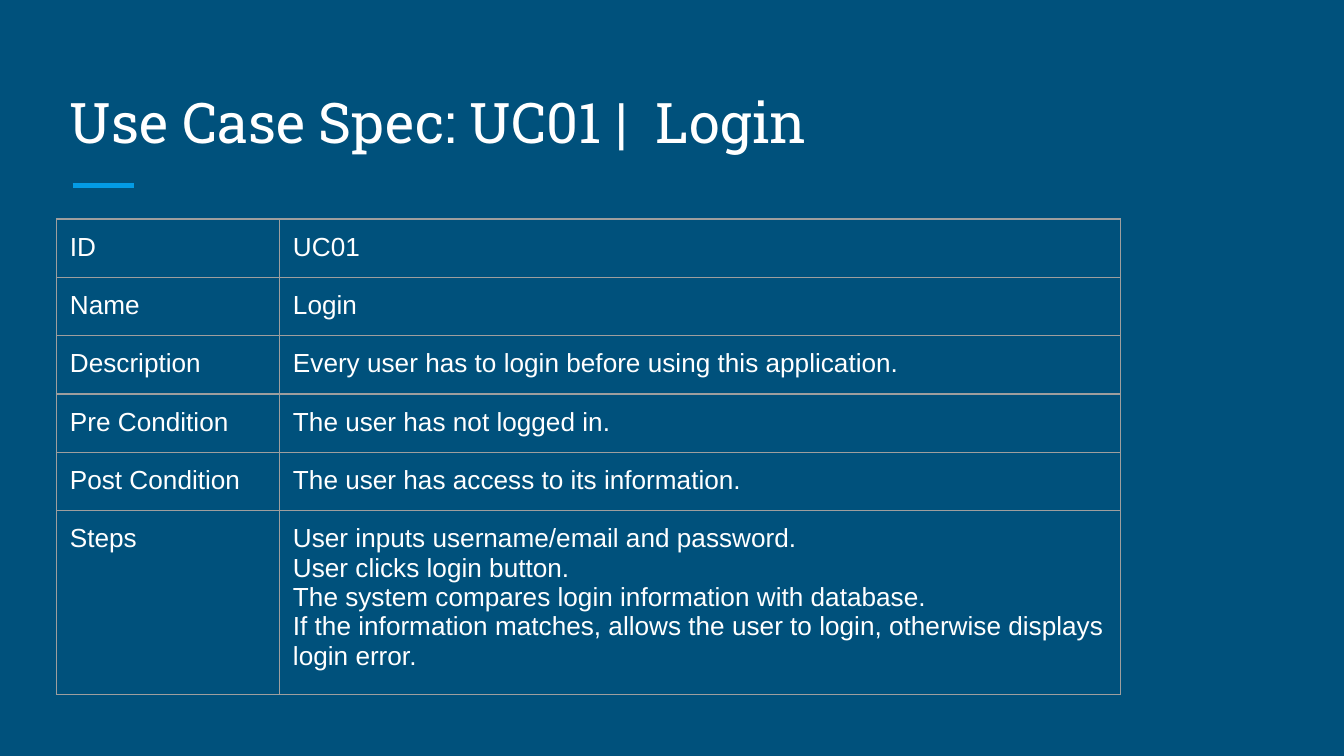
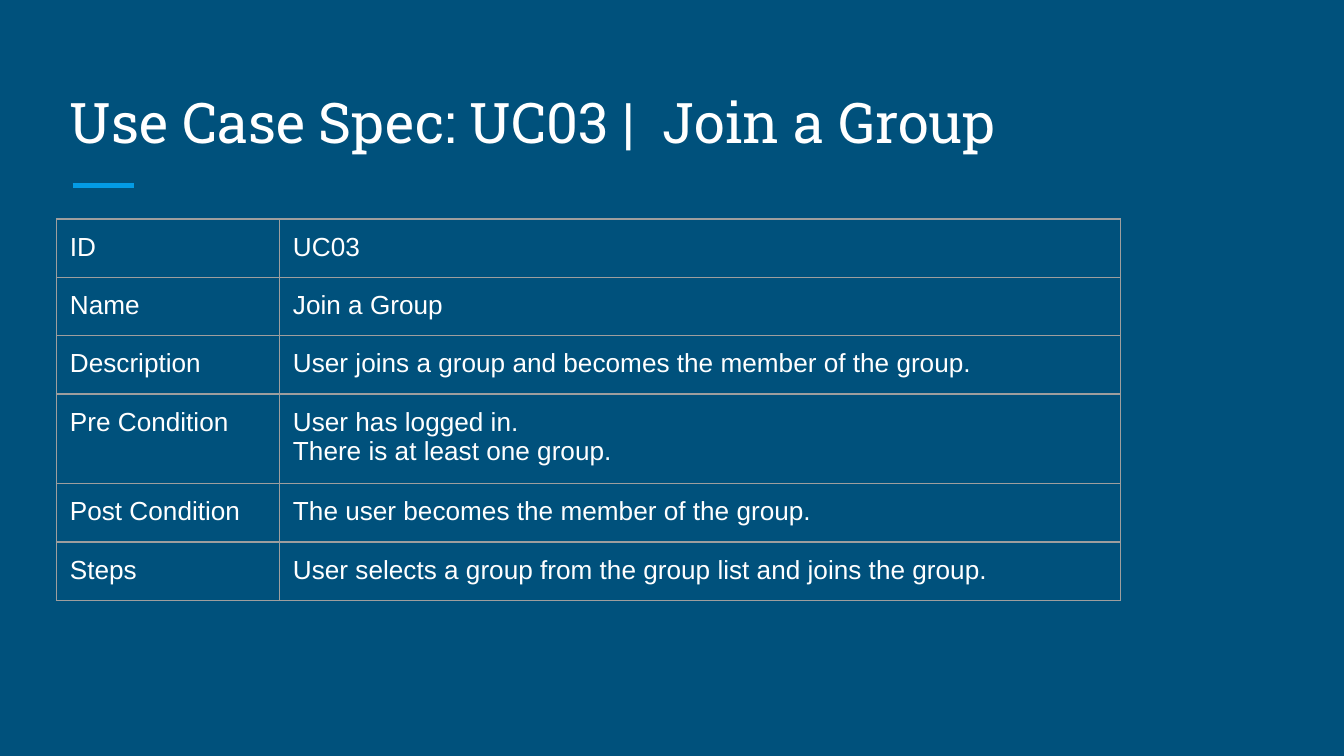
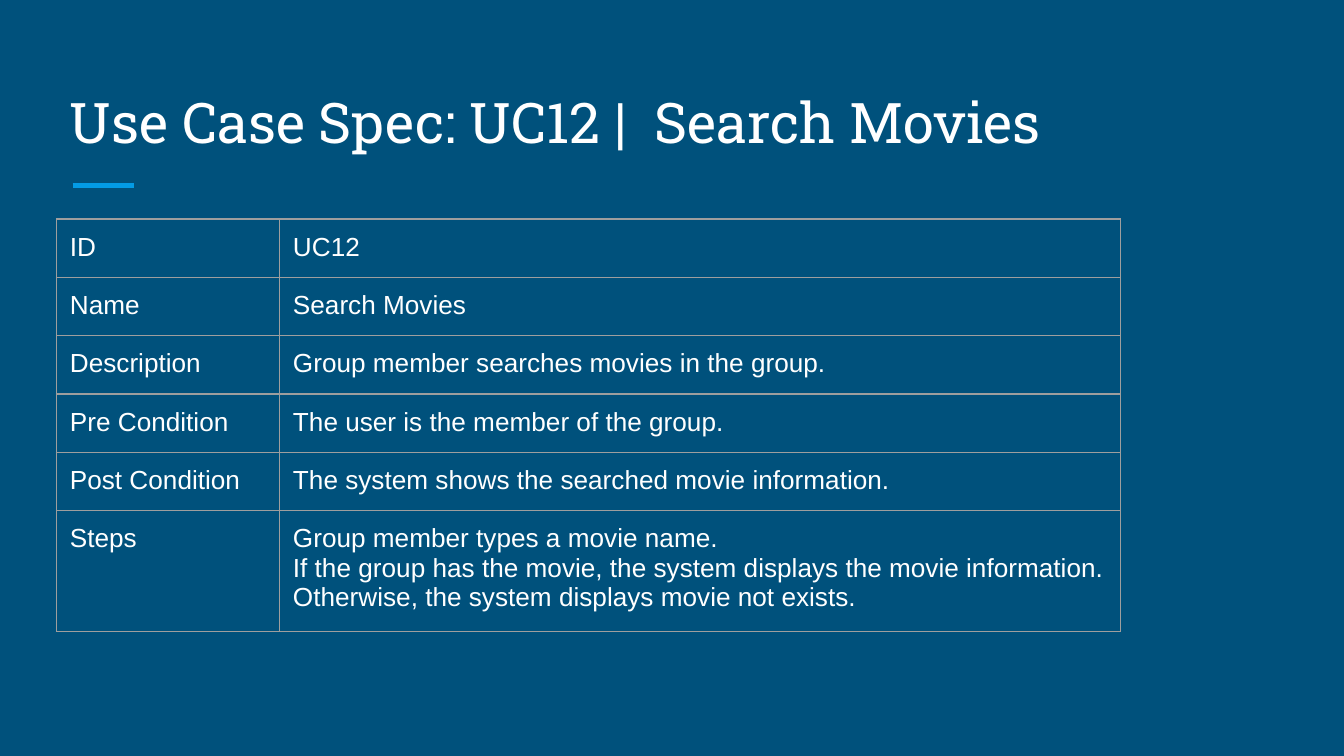
from dataclasses import dataclass

from lxml import etree
from pptx import Presentation
from pptx import util as u
from pptx.dml.color import RGBColor
from pptx.enum import shapes, text
from pptx.oxml.ns import qn


@dataclass(frozen=True)
class Theme:
    background: str = "00517C"
    ink: str = "FFFFFF"
    accent: str = "039BE5"
    border: str = "9E9E9E"
    title_font: str = "Roboto Slab"
    body_font: str = "Arial"
    title_size: float = 30
    body_size: float = 14
    accent_width: float = 3
    border_width: float = 0.75


THEME = Theme()
WIDTH = u.Inches(10)
HEIGHT = WIDTH * 9 // 16
INSET = u.Inches(0.1)
LEFT = u.Inches(0.42)
ROW = u.Inches(0.42)
COLUMNS = (u.Inches(1.66), u.Inches(6.26))

FIELDS = ("ID", "Name", "Description", "Pre Condition", "Post Condition", "Steps")
USE_CASES = (
    (
        "UC01",
        "Login",
        "Every user has to login before using this application.",
        "The user has not logged in.",
        "The user has access to its information.",
        "User inputs username/email and password.\n"
        "User clicks login button.\n"
        "The system compares login information with database.\n"
        "If the information matches, allows the user to login, "
        "otherwise displays login error.",
    ),
    (
        "UC03",
        "Join a Group",
        "User joins a group and becomes the member of the group.",
        "User has logged in.\nThere is at least one group.",
        "The user becomes the member of the group.",
        "User selects a group from the group list and joins the group.",
    ),
    (
        "UC12",
        "Search Movies",
        "Group member searches movies in the group.",
        "The user is the member of the group.",
        "The system shows the searched movie information.",
        "Group member types a movie name.\n"
        "If the group has the movie, the system displays the movie information.\n"
        "Otherwise, the system displays movie not exists.",
    ),
)


def write(tf, content, font, size):
    tf.text = content
    for p in tf.paragraphs:
        for r in p.runs:
            r.font.name = font
            r.font.size = u.Pt(size)
            r.font.color.rgb = RGBColor.from_string(THEME.ink)


def set_insets(holder):
    holder.margin_left = holder.margin_right = INSET
    holder.margin_top = holder.margin_bottom = INSET


def add_title(s, title):
    sp = s.shapes.add_textbox(LEFT, u.Inches(0.5), u.Inches(9.15), u.Inches(0.75))
    tf = sp.text_frame
    tf.word_wrap = True
    tf.vertical_anchor = text.MSO_ANCHOR.BOTTOM
    set_insets(tf)
    write(tf, title, THEME.title_font, THEME.title_size)


def add_accent(s):
    y = u.Inches(1.38)
    line = s.shapes.add_connector(
        shapes.MSO_CONNECTOR.STRAIGHT, u.Inches(0.54), y, u.Inches(1), y
    )
    line.line.color.rgb = RGBColor.from_string(THEME.accent)
    line.line.width = u.Pt(THEME.accent_width)
    etree.SubElement(line._element.spPr, qn("a:effectLst"))


def set_borders(cell):
    tc_pr = cell._tc.get_or_add_tcPr()
    for side in ("lnL", "lnR", "lnT", "lnB"):
        ln = etree.SubElement(
            tc_pr, qn(f"a:{side}"), w=str(u.Pt(THEME.border_width))
        )
        fill = etree.SubElement(ln, qn("a:solidFill"))
        etree.SubElement(fill, qn("a:srgbClr"), val=THEME.border)


def add_spec_table(s, values):
    frame = s.shapes.add_table(
        len(FIELDS),
        len(COLUMNS),
        LEFT,
        u.Inches(1.63),
        sum(COLUMNS),
        ROW * len(FIELDS),
    )
    table = frame.table
    table.first_row = table.horz_banding = False
    for column, width in zip(table.columns, COLUMNS):
        column.width = width
    for row, contents in zip(table.rows, zip(FIELDS, values)):
        for cell, content in zip(row.cells, contents):
            set_insets(cell)
            set_borders(cell)
            cell.fill.background()
            write(cell.text_frame, content, THEME.body_font, THEME.body_size)


def add_use_case(prs, values):
    s = prs.slides.add_slide(prs.slide_layouts[6])
    s.background.fill.solid()
    s.background.fill.fore_color.rgb = RGBColor.from_string(THEME.background)
    code, name = values[:2]
    add_accent(s)
    add_title(s, f"Use Case Spec: {code} |  {name}")
    add_spec_table(s, values)


def main():
    prs = Presentation()
    prs.slide_width, prs.slide_height = WIDTH, HEIGHT
    for values in USE_CASES:
        add_use_case(prs, values)
    prs.save("out.pptx")


if __name__ == "__main__":
    main()
